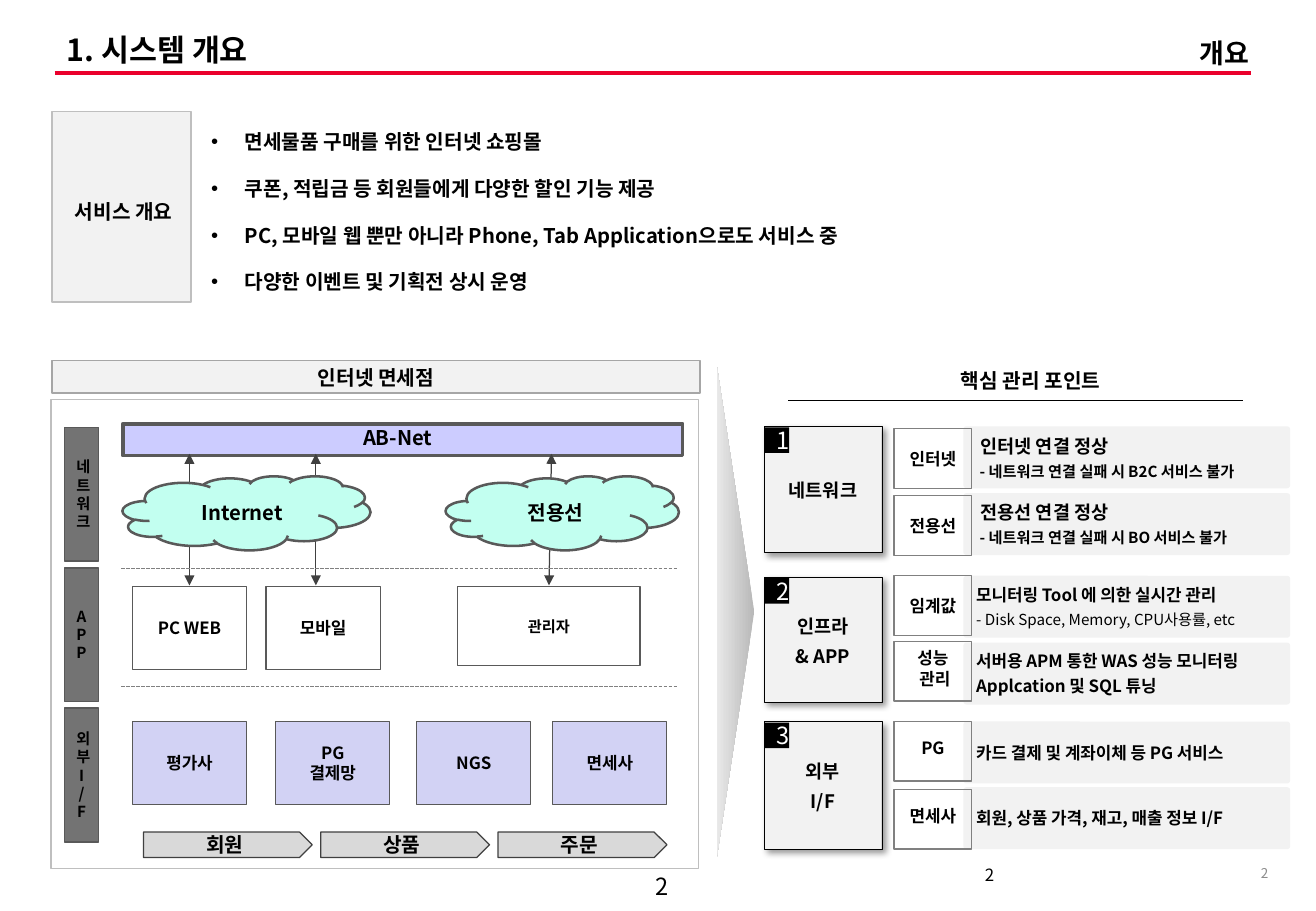
from dataclasses import dataclass, replace
from typing import NamedTuple, Optional

from lxml import etree
from pptx import Presentation, util as u
from pptx.dml import color as c
from pptx.enum import dml, shapes as sh, text as tx
from pptx.oxml import ns

Pt, RGB = u.Pt, c.RGBColor
KIND, ALIGN, ANCHOR = sh.MSO_SHAPE, tx.PP_ALIGN, tx.MSO_ANCHOR
FONT = "Noto Sans CJK KR"
BLACK, WHITE = RGB(0, 0, 0), RGB(255, 255, 255)
PALE, SILVER, LIGHT = RGB(0xF2, 0xF2, 0xF2), RGB(0xD9, 0xD9, 0xD9), RGB(0xBF, 0xBF, 0xBF)
ASH, GRAY, MIST = RGB(0xA6, 0xA6, 0xA6), RGB(0x80, 0x80, 0x80), RGB(0x8C, 0x8C, 0x8C)
STEEL, SLATE, DARK = RGB(0x73, 0x73, 0x73), RGB(0x59, 0x59, 0x59), RGB(0x40, 0x40, 0x40)
RED, MINT = RGB(0xEA, 0, 0x2C), RGB(0xC2, 0xFF, 0xF0)
LILAC, LAVENDER = RGB(0xCC, 0xCC, 0xFF), RGB(0xD2, 0xD2, 0xF4)
SHADE, HAZE = RGB(0xB8, 0xB8, 0xB8), RGB(0xE9, 0xE9, 0xE9)


@dataclass(frozen=True)
class Look:
    kind: Optional[KIND] = KIND.RECTANGLE
    fill: Optional[RGB] = None
    edge: Optional[RGB] = None
    width: float = 0.75
    size: float = 12
    bold: bool = True
    ink: RGB = BLACK
    align: ALIGN = ALIGN.CENTER
    anchor: ANCHOR = ANCHOR.MIDDLE
    inset: float = 7.2
    wrap: bool = True
    before: float = 0
    pitch: Optional[float] = None


class Row(NamedTuple):
    top: float
    mark: float
    label: str
    note: str
    size: float = 10
    sub: Optional[float] = None
    strong: bool = True


class Card(NamedTuple):
    num: str
    name: str
    top: float
    high: float
    rows: list[Row]


class Wire(NamedTuple):
    x1: float
    y1: float
    x2: float
    y2: float
    ink: RGB
    width: float = 0.75
    dash: bool = False
    heads: bool = False


deck = Presentation()
deck.slide_width, deck.slide_height = Pt(780), Pt(540)
page = deck.slides.add_slide(deck.slide_layouts[6])


def node(root, tag: str, **attrs: str):
    return etree.SubElement(root, ns.qn(tag), attrs)


def style(run, look: Look) -> None:
    run.font.name, run.font.size, run.font.bold = FONT, Pt(look.size), look.bold
    run.font.color.rgb = look.ink
    node(run.font._element, "a:ea", typeface=FONT)


def put(look: Look, x: float, y: float, w: float, h: float, words: str = ""):
    area = [Pt(n) for n in (x, y, w, h)]
    if look.kind is None:
        item = page.shapes.add_textbox(*area)
    else:
        item = page.shapes.add_shape(look.kind, *area)
        item.shadow.inherit = False
        if look.fill is None:
            item.fill.background()
        else:
            item.fill.solid()
            item.fill.fore_color.rgb = look.fill
        if look.edge is None:
            item.line.fill.background()
        else:
            item.line.color.rgb, item.line.width = look.edge, Pt(look.width)
    frame = item.text_frame
    frame.word_wrap, frame.vertical_anchor = look.wrap, look.anchor
    frame.margin_left = frame.margin_right = Pt(look.inset)
    frame.margin_top = frame.margin_bottom = Pt(3.6)
    frame.text = words
    for par in frame.paragraphs:
        par.alignment, par.space_before = look.align, Pt(look.before)
        if look.pitch:
            par.line_spacing = look.pitch
        for run in par.runs:
            style(run, look)
    return item


def draw(wire: Wire) -> None:
    ends = [Pt(n) for n in wire[:4]]
    line = page.shapes.add_connector(sh.MSO_CONNECTOR.STRAIGHT, *ends)
    line.line.color.rgb, line.line.width = wire.ink, Pt(wire.width)
    if wire.dash:
        line.line.dash_style = dml.MSO_LINE.SQUARE_DOT
    if wire.heads:
        for tag in ("a:headEnd", "a:tailEnd"):
            node(line.line._get_or_add_ln(), tag, type="triangle")
    node(line._element.spPr, "a:effectLst")


def cast(item) -> None:
    root = item._element.spPr.find(ns.qn("a:effectLst"))
    glow = node(root, "a:outerShdw", blurRad=str(Pt(4)), dist=str(Pt(3)),
                dir="2700000", algn="tl", rotWithShape="0")
    node(node(glow, "a:srgbClr", val=str(BLACK)), "a:alpha", val="40000")


PLAIN = Look(kind=None, anchor=ANCHOR.TOP, before=3)
HEAD = Look(kind=None, size=18, align=ALIGN.LEFT, pitch=0.9)
FOOT = Look(kind=None, size=14, bold=False)
PANEL = Look(fill=PALE, edge=LIGHT, width=1, wrap=False)
SYSTEM = Look(fill=WHITE, edge=SLATE, size=10, inset=0)
LINK = replace(SYSTEM, fill=LAVENDER)
LAYER = Look(fill=STEEL, edge=SLATE, width=1, size=9)
CLOUD = Look(kind=KIND.CLOUD, fill=MINT, edge=SLATE, width=1.5)
STEP = Look(kind=KIND.PENTAGON, fill=SILVER, edge=DARK)
BLOCK = Look(fill=PALE, edge=BLACK, width=0.25, size=11, wrap=False, before=3.3, pitch=1.1)
BADGE = Look(fill=BLACK, ink=WHITE, size=14, bold=False)
NOTE = Look(kind=KIND.ROUNDED_RECTANGLE, fill=PALE, align=ALIGN.LEFT, before=3)
TAG = Look(edge=GRAY, size=10, inset=0)
TIGHT = replace(TAG, before=4.5, pitch=Pt(8))

put(FOOT, 367.2, 514, 51, 22.3, "2")
draw(Wire(32.4, 43.2, 741.6, 43.2, RED, 2.25))
put(HEAD, 32.4, 17.3, 578, 26.6, "1. 시스템 개요")
put(replace(PLAIN, size=16, align=ALIGN.RIGHT, before=0), 656.6, 18, 90.7, 26.6, "개요")
put(replace(FOOT, size=10, align=ALIGN.LEFT, anchor=ANCHOR.TOP), 576.7, 509, 182.2, 17.3, "2")
put(Look(fill=WHITE, edge=LIGHT), 30.2, 236.9, 383.8, 277.9)
put(replace(FOOT, size=8, ink=MIST, align=ALIGN.RIGHT), 576.7, 509, 182.2, 17.3, "2")
put(replace(PANEL, pitch=1.35), 31, 66.2, 82.1, 113, " 서비스 개요")
put(replace(PANEL, edge=ASH), 31, 213.8, 383.8, 19.4, "인터넷 면세점")

fan = put(Look(kind=KIND.ISOSCELES_TRIANGLE, fill=SHADE), 289.4, 351.4, 293, 22.3)
fan.rotation = 90
fan.fill.gradient()
fan.fill.gradient_angle = 270
for stop, tone in zip(fan.fill.gradient_stops, (SHADE, HAZE)):
    stop.color.rgb = tone

put(Look(fill=WHITE, inset=2), 485.3, 213.1, 251.3, 24.5, "핵심 관리 포인트")
draw(Wire(467.3, 237.6, 736.6, 237.6, BLACK))

GOALS = (
    "면세물품 구매를 위한 인터넷 쇼핑몰",
    "쿠폰, 적립금 등 회원들에게 다양한 할인 기능 제공",
    "PC, 모바일 웹 뿐만 아니라 Phone, Tab Application으로도 서비스 중",
    "다양한 이벤트 및 기획전 상시 운영",
)
goals = put(replace(PLAIN, align=ALIGN.LEFT, pitch=1.5), 118, 66.2, 629.3, 113, "\n".join(GOALS))
for par in goals.text_frame.paragraphs:
    par.space_after = Pt(3)
    props = par._element.get_or_add_pPr()
    props.set("marL", str(Pt(20)))
    props.set("indent", str(-Pt(20)))
    node(props, "a:buFont", typeface="Arial")
    node(props, "a:buChar", char="•")

put(Look(fill=LILAC, edge=SLATE, width=2.25), 72.7, 251.3, 331.9, 18.7)
put(PLAIN, 168.5, 248.4, 134.6, 21.6, "AB-Net")
for top, low in ((187.2, 187.2), (112.3, 112.3), (326.9, 325.4)):
    draw(Wire(top, 269, low, 347, DARK, heads=True))
for x, w, left, wide, name in ((264.2, 138.2, 270.7, 117.4, "전용선"),
                               (72.7, 146.9, 107.3, 72.7, "Internet")):
    put(CLOUD, x, 282.2, w, 43.9)
    put(PLAIN, left, 293, wide, 21.6, name)
for y in (337, 406.8):
    draw(Wire(72, y, 402, y, GRAY, dash=True))

for i, name in enumerate(("네\n트\n워\n크", "APP", "외\n부\nI\n/\nF")):
    put(LAYER, 38.2, 253.4 + 83.2 * i, 20.2, 79.2, name)
put(replace(SYSTEM, size=9), 271.4, 347.8, 108, 46.8, "관리자")
for x, name in ((78.5, "PC WEB"), (157.7, "모바일")):
    put(SYSTEM, x, 347.8, 67.7, 49, name)
for x, name in ((78.5, "평가사"), (163.4, "PG\n결제망"), (247, "NGS"), (327.6, "면세사")):
    put(LINK, x, 427.7, 67.7, 49, name)
for i, name in enumerate(("회원", "상품", "주문")):
    put(STEP, 85 + 105.1 * i, 493.2, 100.1, 15.1, name)

CARDS = [
    Card("1", "네트워크", 252.7, 74.9, [
        Row(252.7, 254.2, "인터넷",
            " 인터넷 연결 정상\n - 네트워크 연결 실패 시 B2C 서비스 불가", 11, 9),
        Row(292.3, 293.8, "전용선",
            " 전용선 연결 정상\n - 네트워크 연결 실패 시 BO 서비스 불가", 11, 9)]),
    Card("2", "인프라\n& APP", 342, 74.2, [
        Row(341.3, 341.3, "임계값",
            "모니터링 Tool 에 의한 실시간 관리\n- Disk Space, Memory, CPU사용률, etc", 10, 9, False),
        Row(380.9, 380.2, "성능\n 관리",
            "서버용 APM 통한 WAS 성능 모니터링\nApplcation 및 SQL 튜닝")]),
    Card("3", "외부\nI/F", 427.7, 75.6, [
        Row(427.7, 427.7, "PG", "카드 결제 및 계좌이체 등 PG 서비스"),
        Row(466.6, 468, "면세사", "회원, 상품 가격, 재고, 매출 정보 I/F")]),
]
for card in CARDS:
    cast(put(BLOCK, 452.9, card.top, 69.8, card.high, card.name))
    put(BADGE, 453.4, card.top + 0.7, 14.4, 15.1, card.num)
    for row in card.rows:
        note = put(replace(NOTE, size=row.size), 571, row.top, 193.7, 36.7, row.note)
        note.adjustments[0] = 0.05
        if row.sub:
            for run in note.text_frame.paragraphs[1].runs:
                run.font.size, run.font.bold = Pt(row.sub), row.strong
        look = TAG if row.label in ("인터넷", "전용선", "임계값") else TIGHT
        put(look, 529.9, row.mark, 46.1, 35.3, row.label)

deck.save("out.pptx")
